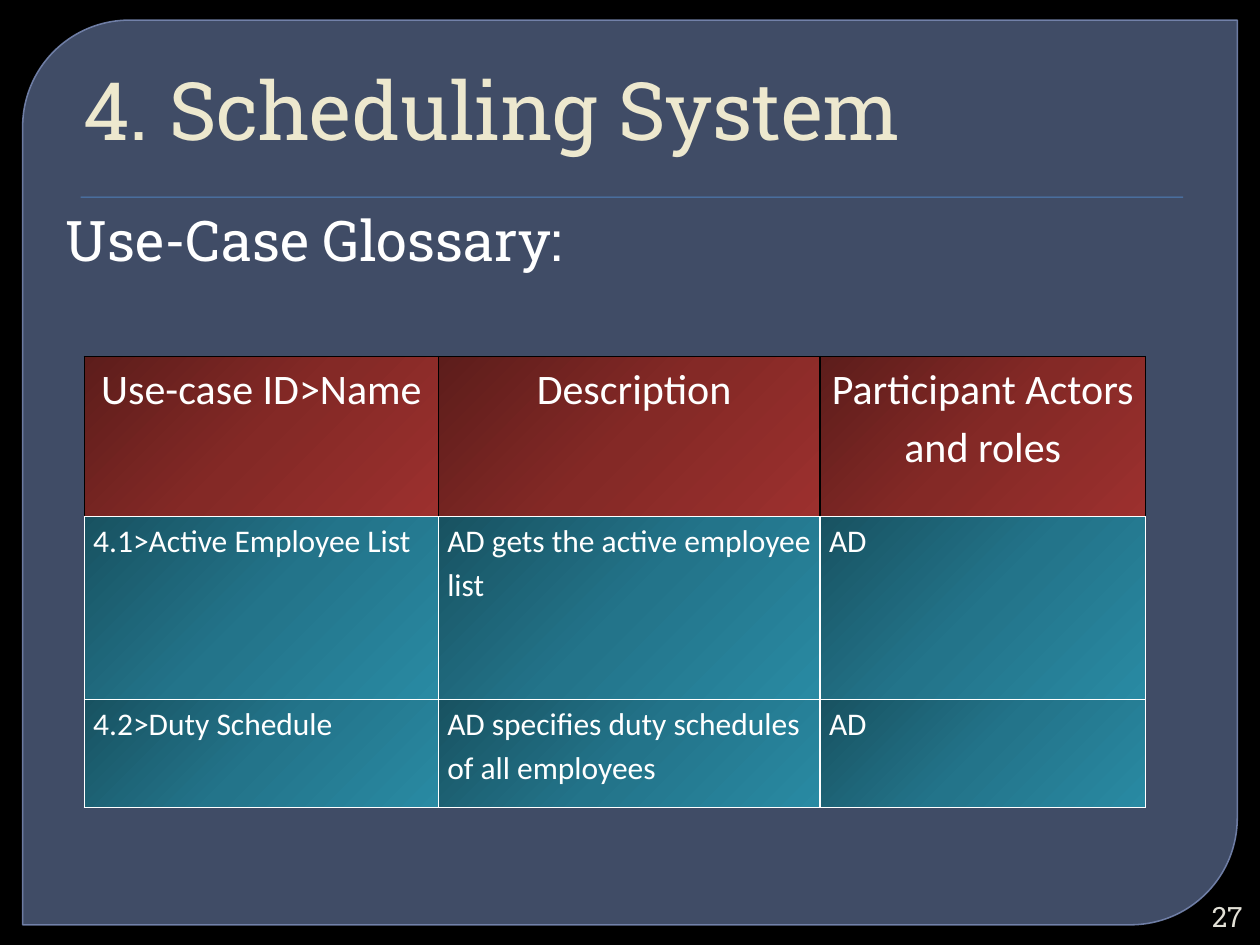
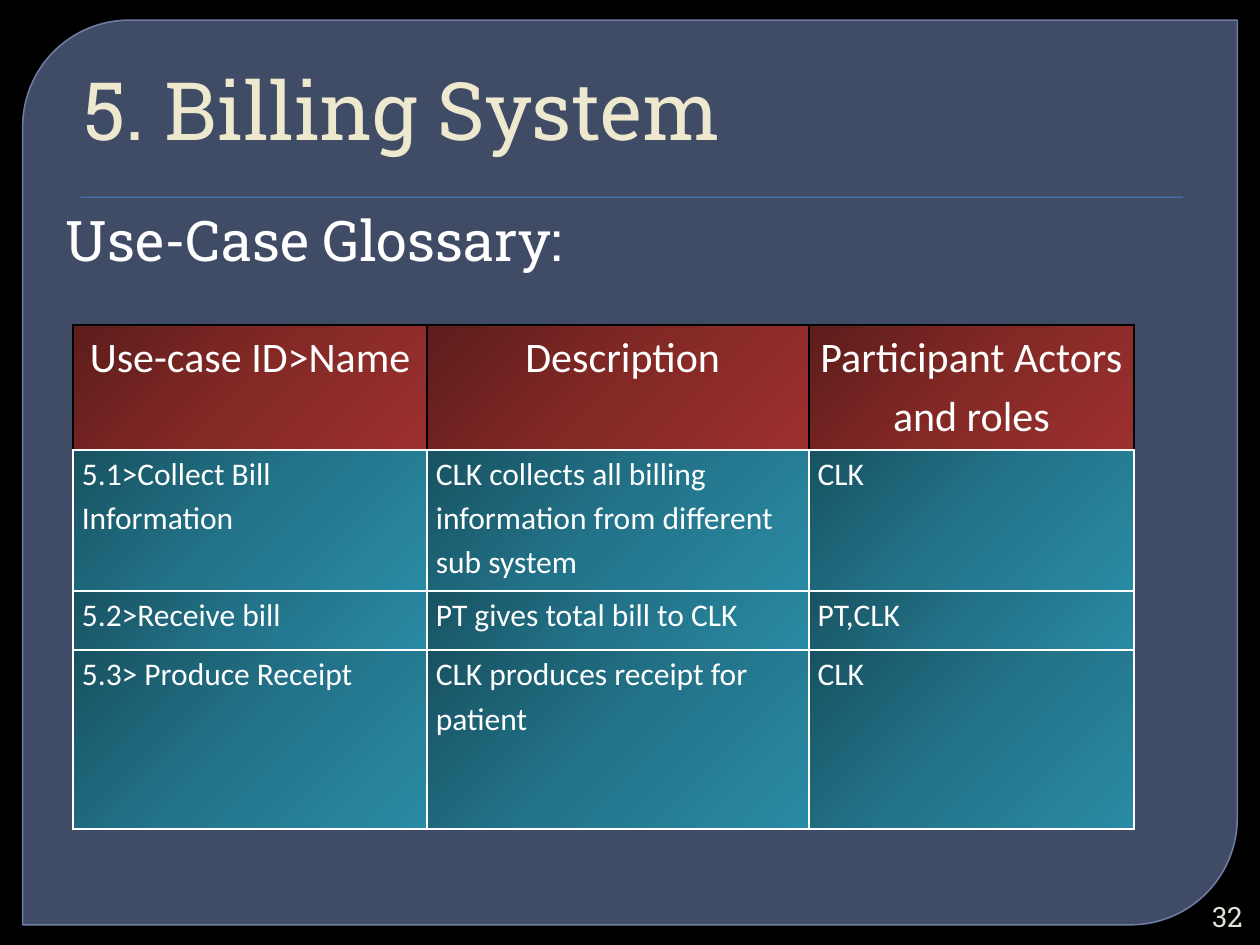
from dataclasses import dataclass
from lxml.etree import SubElement as Sub
from pptx import Presentation
from pptx.dml.color import RGBColor as Color
from pptx.enum.shapes import MSO_SHAPE as Form
from pptx.enum.text import MSO_ANCHOR as Anchor, MSO_AUTO_SIZE as Fit, PP_ALIGN as Align
from pptx.oxml.ns import qn
from pptx.util import Inches, Pt


@dataclass(frozen=True)
class Theme:
    """Colours, fonts and type sizes of the deck."""
    back: str = "000000"
    panel: str = "63759D"
    edge: str = "7989B3"
    rule: str = "4F81BD"
    title: str = "EDE8CE"
    text: str = "FFFFFF"
    page: str = "E3E1D7"
    head_fill: tuple = ("5D1D1B", "842926", "9C302E")
    body_fill: tuple = ("185261", "23748A", "298AA3")
    slab: str = "Roboto Slab"
    sans: str = "Calibri"
    title_size: int = 46
    lead_size: int = 32
    head_size: int = 24
    cell_size: int = 18
    page_size: int = 16


T = Theme()
HEADS = ("Use-case ID>Name", " Description", "Participant Actors and roles")
COLS = (2.81, 3.03, 2.58)


def place(shape, box):
    """Move a shape to a box of left, top, width, height in inches."""
    shape.left, shape.top, shape.width, shape.height = map(Inches, box)


def write(para, text, size, color, font=T.slab, align=Align.LEFT):
    """Add one styled run to a paragraph."""
    para.alignment = align
    run = para.add_run()
    run.text = text
    run.font.name, run.font.size = font, Pt(size)
    run.font.color.rgb = Color.from_string(color)


def fade(color, share):
    """Give a colour node an opacity in percent."""
    Sub(color, qn("a:alpha"), val=str(share * 1000))


def solid(parent, color):
    """Add a solid fill and return its colour node."""
    return Sub(Sub(parent, qn("a:solidFill")), qn("a:srgbClr"), val=color)


def add_form(slide, kind, box, color):
    """Add a flat filled shape without a line."""
    shape = slide.shapes.add_shape(kind, *map(Inches, box))
    shape.shadow.inherit = False
    shape.fill.solid()
    shape.fill.fore_color.rgb = Color.from_string(color)
    shape.line.fill.background()
    return shape


def add_frame(slide, box):
    """Put the rounded panel and the title rule on the slide's layout."""
    left, top, width, _ = box
    panel = add_form(slide, Form.ROUND_2_DIAG_RECTANGLE, box, T.panel)
    panel.adjustments[0], panel.adjustments[1] = 0.118, 0
    panel.line.color.rgb = Color.from_string(T.edge)
    panel.line.width = Pt(0.87)
    props = panel.element.spPr
    for color, share in zip(props.iter(qn("a:srgbClr")), (65, 88)):
        fade(color, share)

    rule = add_form(slide, Form.RECTANGLE,
                    (left + 0.46, top + 1.4, width - 0.89, 0.01), T.rule)
    cast = Sub(rule.element.spPr.find(qn("a:effectLst")), qn("a:outerShdw"),
               blurRad=str(Pt(1)), dist=str(Pt(1)), dir="5400000")
    fade(Sub(cast, qn("a:srgbClr"), val="000000"), 75)

    tree = slide.slide_layout.shapes.element
    for spot, shape in enumerate((panel, rule), 2):
        tree.insert(spot, shape.element)


def add_title(slide, box, text):
    """Fill the title placeholder, set low and to the left."""
    shape = slide.shapes.title
    place(shape, box)
    frame = shape.text_frame
    frame.auto_size, frame.vertical_anchor = Fit.NONE, Anchor.BOTTOM
    frame.margin_bottom = 0
    para = frame.paragraphs[0]
    write(para, text, T.title_size, T.title)
    para._p.get_or_add_pPr().set("marL", str(Inches(0.06)))


def add_lead(slide, box, text):
    """Fill the body placeholder with one line and no bullet."""
    shape = slide.placeholders[1]
    place(shape, box)
    shape.text_frame.auto_size = Fit.NONE
    para = shape.text_frame.paragraphs[0]
    write(para, text, T.lead_size, T.text)
    para.space_before = Pt(0)
    props = para._p.get_or_add_pPr()
    props.set("marL", "0")
    props.set("indent", "0")
    Sub(props, qn("a:buNone"))


def paint(cell, stops, edge):
    """Give a cell its borders and a slanted gradient; the base is white."""
    props = cell._tc.get_or_add_tcPr()
    for side in "LRTB":
        line = Sub(props, qn("a:ln" + side), w=str(Pt(1)))
        solid(line, T.text if side == "B" else edge)
    grad = Sub(props, qn("a:gradFill"), rotWithShape="1")
    marks = Sub(grad, qn("a:gsLst"))
    for spot, color in zip((0, 50, 100), stops):
        stop = Sub(marks, qn("a:gs"), pos=str(spot * 1000))
        Sub(stop, qn("a:srgbClr"), val=color)
    Sub(grad, qn("a:lin"), ang=str(45 * 60000), scaled="0")


def add_grid(slide, box, tall, rows):
    """Build the glossary table with a red head and teal rows."""
    grid = slide.shapes.add_table(len(tall), len(COLS), *map(Inches, box)).table
    grid.first_row = grid.horz_banding = False
    for col, width in zip(grid.columns, COLS):
        col.width = Inches(width)
    for row, height in zip(grid.rows, tall):
        row.height = Inches(height)
    for i, row in enumerate((HEADS, *rows)):
        if i == 0:
            size, align, stops, edge = T.head_size, Align.CENTER, T.head_fill, T.back
        else:
            size, align, stops, edge = T.cell_size, Align.LEFT, T.body_fill, T.text
        for j, text in enumerate(row):
            cell = grid.cell(i, j)
            cell.margin_left = cell.margin_right = Inches(0.07)
            cell.margin_top = cell.margin_bottom = 0
            para = cell.text_frame.paragraphs[0]
            para.line_spacing = 1.15
            write(para, text, size, T.text, T.sans, align)
            paint(cell, stops, edge)


def add_page(slide, box, num):
    """Write the page number in the lower right corner."""
    frame = slide.shapes.add_textbox(*map(Inches, box)).text_frame
    frame.word_wrap, frame.vertical_anchor = True, Anchor.MIDDLE
    frame.margin_top = frame.margin_bottom = 0
    write(frame.paragraphs[0], num, T.page_size, T.page, align=Align.RIGHT)


def add_slide(deck, title, num, spot, tall, rows):
    """Add one glossary slide with its table at the given spot."""
    slide = deck.slides.add_slide(deck.slide_layouts[1])
    add_title(slide, (0.5, -0.01, 9, 1.25), title)
    add_lead(slide, (0.42, 1.58, 9, 6.17), "Use-Case Glossary:")
    add_grid(slide, (*spot, sum(COLS), sum(tall)), tall, rows)
    add_page(slide, (9.45, 7.12, 0.51, 0.3), num)
    return slide


def main():
    """Build and save the deck."""
    deck = Presentation()
    deck.slide_width, deck.slide_height = Inches(10), Inches(7.5)
    fill = deck.slide_master.background.fill
    fill.solid()
    fill.fore_color.rgb = Color.from_string(T.back)

    first = add_slide(
        deck, "4. Scheduling System", "27", (0.67, 2.83), (1.27, 1.45, 0.86),
        (("4.1>Active Employee List", "AD gets the active employee list", "AD"),
         ("4.2>Duty Schedule", "AD specifies duty schedules of all employees", "AD")))
    add_frame(first, (0.18, 0.16, 9.64, 7.18))
    add_slide(
        deck, "5. Billing System", "32", (0.58, 2.58), (0.99, 1.12, 0.47, 1.42),
        (("5.1>Collect Bill Information",
          "CLK collects all billing information from different sub system", "CLK"),
         ("5.2>Receive bill", "PT gives total bill to CLK", "PT,CLK"),
         ("5.3> Produce Receipt", "CLK produces receipt for patient", "CLK")))
    deck.save("out.pptx")


main()
